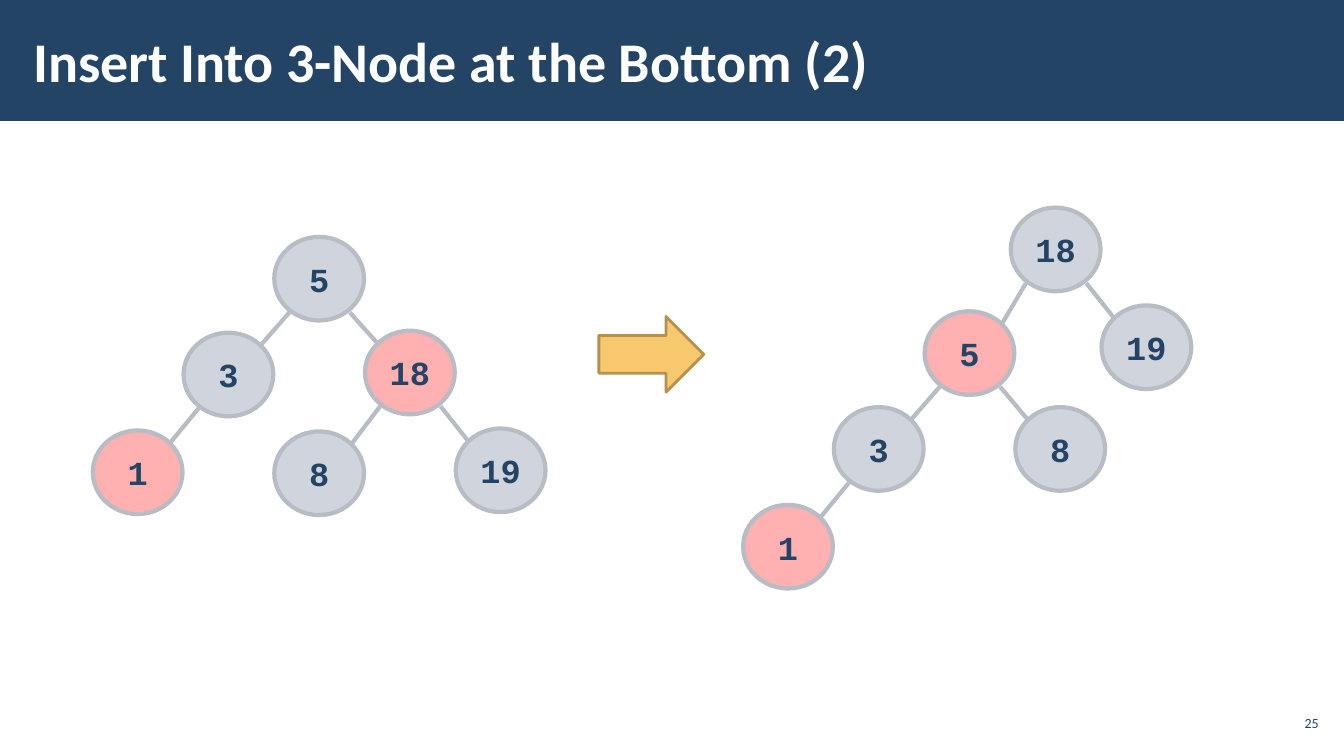
"""Build a slide showing a red-black tree before and after a left rotation."""
from lxml import etree
from pptx import Presentation
from pptx.dml.color import RGBColor
from pptx.enum.shapes import MSO_CONNECTOR, MSO_SHAPE
from pptx.enum.text import MSO_ANCHOR, MSO_AUTO_SIZE, PP_ALIGN
from pptx.oxml.ns import qn
from pptx.util import Inches, Pt

COLORS = {
    "navy": "234465", "white": "FFFFFF", "gray": "A1AABC", "red": "FFB0B0",
    "edge": "B8BCC4", "arrow": "F7C86D", "arrow_line": "B4914F",
}
COL, ROW = 0.9, 0.97
NODE_W, NODE_H = 0.89, 0.83
TREES = [
    (0.92, 2.35, [
        ("5", 2, 0, None, "gray"),
        ("3", 1, 0.98, "5", "gray"),
        ("18", 3, 0.96, "5", "red"),
        ("1", 0, 1.98, "3", "red"),
        ("8", 2, 1.99, "18", "gray"),
        ("19", 4, 1.96, "18", "gray"),
    ]),
    (7.37, 2.06, [
        ("18", 2.95, 0, None, "gray"),
        ("5", 2, 1.06, "18", "red"),
        ("19", 3.95, 1, "18", "gray"),
        ("3", 1, 2.04, "5", "gray"),
        ("8", 3, 2.04, "5", "gray"),
        ("1", 0, 3.04, "3", "red"),
    ]),
]


def paint(sp, fill, line=None, width=0):
    sp.shadow.inherit = False
    sp.fill.solid()
    sp.fill.fore_color.rgb = RGBColor.from_string(COLORS[fill])
    if line:
        sp.line.color.rgb = RGBColor.from_string(COLORS[line])
        sp.line.width = Pt(width)
    else:
        sp.line.fill.background()


def write(sp, text, size, font, color, align, bold, inset_x, inset_y):
    tf = sp.text_frame
    tf.text = text
    tf.word_wrap = True
    tf.auto_size = MSO_AUTO_SIZE.NONE
    tf.vertical_anchor = MSO_ANCHOR.MIDDLE
    tf.margin_left = tf.margin_right = Inches(inset_x)
    tf.margin_top = tf.margin_bottom = Inches(inset_y)
    p = tf.paragraphs[0]
    p.alignment = align
    r = p.runs[0]
    r.font.size, r.font.name, r.font.bold = Pt(size), font, bold
    r.font.color.rgb = RGBColor.from_string(COLORS[color])


prs = Presentation()
prs.slide_width, prs.slide_height = Inches(13.33), Inches(7.5)
s = prs.slides.add_slide(prs.slide_layouts[5])

title = s.shapes.title
title.left, title.top = Inches(0.21), Inches(0.11)
title.width, title.height = Inches(10.4), Inches(0.97)
write(title, "Insert Into 3-Node at the Bottom (2)", 40, "Calibri", "white",
      PP_ALIGN.LEFT, True, 0.12, 0.04)

bar = s.shapes.add_shape(MSO_SHAPE.RECTANGLE, 0, 0, prs.slide_width, Inches(1.2))
paint(bar, "navy")
title.element.addprevious(bar.element)

number = s.shapes.add_textbox(Inches(12.65), Inches(7), Inches(0.47), Inches(0.34))
write(number, "25", 10, "Calibri", "navy", PP_ALIGN.RIGHT, False, 0.04, 0.04)

arrow = s.shapes.add_shape(MSO_SHAPE.RIGHT_ARROW, Inches(5.94), Inches(3.14),
                           Inches(1.04), Inches(0.75))
paint(arrow, "arrow", "arrow_line", 2)

for left, top, nodes in TREES:
    places = {label: (left + col * COL, top + row * ROW)
              for label, col, row, parent, fill in nodes}

    for label, col, row, parent, fill in nodes:
        if parent is None:
            continue
        (px, py), (cx, cy) = places[parent], places[label]
        start, end = (0.15, 0.77) if cx < px else (0.75, 0.12)
        edge = s.shapes.add_connector(
            MSO_CONNECTOR.STRAIGHT, Inches(px + start), Inches(py + 0.75),
            Inches(cx + end), Inches(cy + 0.12))
        edge.line.color.rgb = RGBColor.from_string(COLORS["edge"])
        edge.line.width = Pt(3)
        etree.SubElement(edge.element.spPr, qn("a:effectLst"))

    for label, col, row, parent, fill in nodes:
        x, y = places[label]
        node = s.shapes.add_shape(MSO_SHAPE.OVAL, Inches(x), Inches(y),
                                  Inches(NODE_W), Inches(NODE_H))
        paint(node, fill, "edge", 3)
        if fill == "gray":
            color = node.element.spPr.find(qn("a:solidFill"))[0]
            etree.SubElement(color, qn("a:alpha"), val="50000")
        write(node, label, 24, "Courier New", "navy", PP_ALIGN.CENTER, True, 0.1, 0.05)

prs.save("out.pptx")
